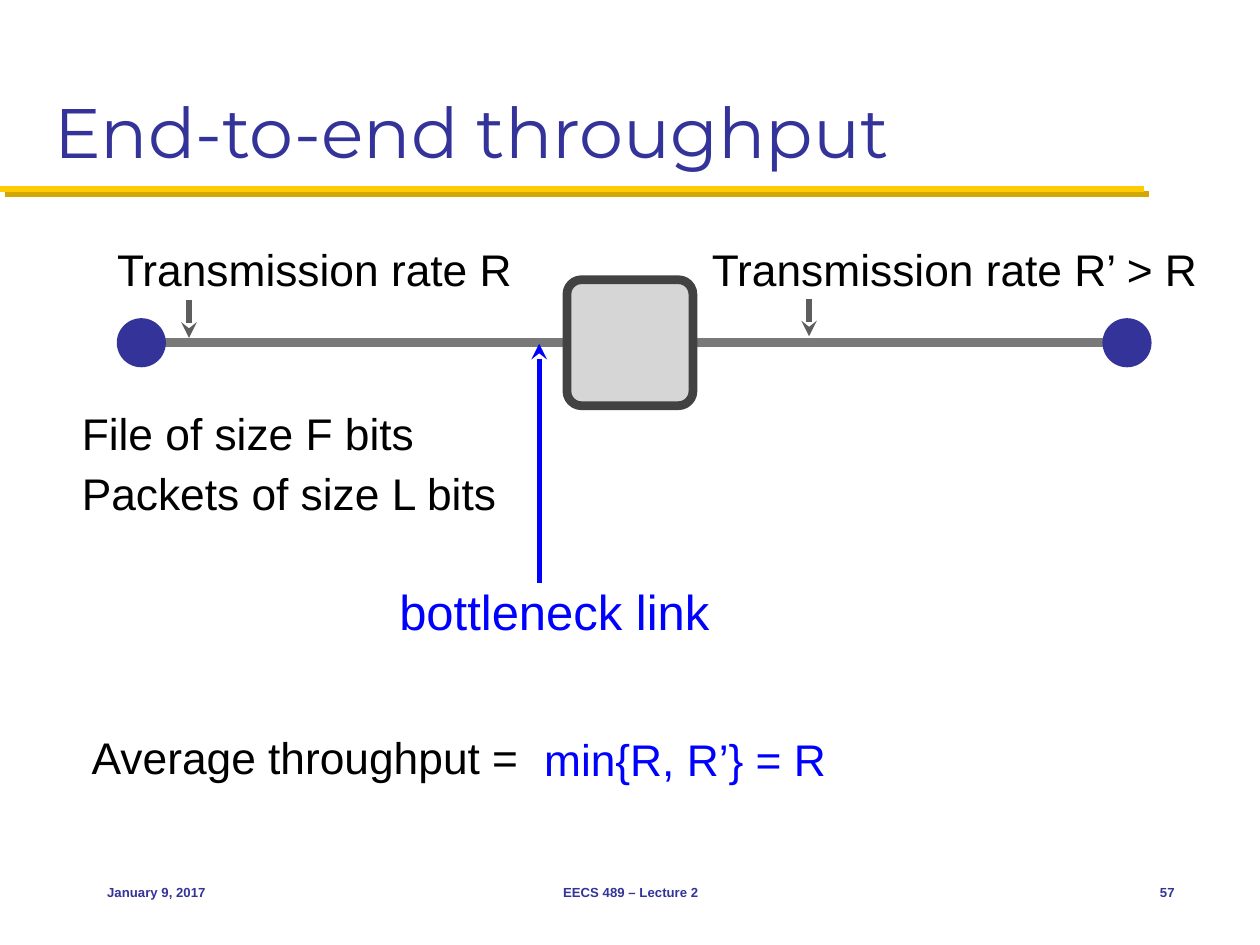
from dataclasses import dataclass

from lxml import etree
from pptx import Presentation
from pptx.dml.color import RGBColor
from pptx.enum.shapes import MSO_CONNECTOR, MSO_SHAPE
from pptx.enum.text import MSO_ANCHOR, PP_ALIGN
from pptx.oxml.ns import qn
from pptx.shapes.autoshape import Shape
from pptx.shapes.connector import Connector
from pptx.slide import Slide
from pptx.util import Cm, Pt

STRAIGHT = MSO_CONNECTOR.STRAIGHT
OVAL, ROUNDED = MSO_SHAPE.OVAL, MSO_SHAPE.ROUNDED_RECTANGLE
MIDDLE, BOTTOM = MSO_ANCHOR.MIDDLE, MSO_ANCHOR.BOTTOM
LEFT, CENTER, RIGHT = PP_ALIGN.LEFT, PP_ALIGN.CENTER, PP_ALIGN.RIGHT

NAVY, BLUE, BLACK = "333399", "0000FF", "000000"
GOLD, DARK_GOLD = "FFCB05", "D3A600"
LINK_GRAY, ARROW_GRAY = "797979", "5E5E5E"
ROUTER_FILL, ROUTER_BORDER = "D6D6D6", "424242"
LINK_Y = 6.91
NODE_SIZE = 0.99
ROUTER_SIZE = 2.54


@dataclass(frozen=True)
class Label:
    text: str
    left: float
    top: float
    width: float
    height: float = 1.27
    size: float = 25.3
    color: str = BLACK
    font: str = "Arial"
    bold: bool = False
    alignment: PP_ALIGN = LEFT
    anchor: MSO_ANCHOR = MIDDLE
    inset_x: float = 0.1
    inset_y: float = 0.1


@dataclass(frozen=True)
class Line:
    start_x: float
    start_y: float
    end_x: float
    end_y: float
    color: str
    weight: float
    arrow: bool = False


def footer(text: str, left: float, width: float, alignment: PP_ALIGN) -> Label:
    return Label(text, left, 17.35, width, size=7.5, color=NAVY, bold=True,
                 alignment=alignment, inset_x=0.25, inset_y=0.13)


LABELS = [
    Label("End-to-end throughput", 0.84, 0.43, 23.7, 3.18, 40, NAVY, "Montserrat",
          anchor=BOTTOM, inset_x=0.25, inset_y=0.13),
    Label("Transmission rate R", 2.26, 4.78, 8.31),
    Label("Transmission rate R’ > R", 14.25, 4.78, 10.72),
    Label("File of size F bits", 1.55, 8.08, 8.48),
    Label("Packets of size L bits", 1.55, 9.3, 9.47),
    Label("bottleneck link", 7.9, 11.58, 11.43, 1.47, 28, BLUE,
          inset_x=0.15, inset_y=0.15),
    Label("Average throughput =", 1.75, 14.61, 12.42),
    Label("min{R, R’} = R", 10.87, 14.66, 6.07, color=BLUE),
    footer("January 9, 2017", 1.91, 5.28, LEFT),
    footer("EECS 489 – Lecture 2", 8.69, 8.05, CENTER),
    footer("57", 22.23, 1.7, RIGHT),
]
TITLE_RULE = Line(0, 3.81, 23.06, 3.81, GOLD, 3.5)
LINK = Line(3, LINK_Y, 22.81, LINK_Y, LINK_GRAY, 5)
ARROWS = [
    Line(3.81, 6.81, 3.81, 6.05, ARROW_GRAY, 3, True),
    Line(16.31, 6.78, 16.31, 6.02, ARROW_GRAY, 3, True),
    Line(10.87, 6.93, 10.87, 11.76, BLUE, 3, True),
]
NODE_CENTERS = [2.85, 22.72]


def rgb(color: str) -> RGBColor:
    return RGBColor.from_string(color)


def add_line(slide: Slide, line: Line) -> Connector:
    connector = slide.shapes.add_connector(
        STRAIGHT, Cm(line.start_x), Cm(line.start_y), Cm(line.end_x), Cm(line.end_y))
    connector.line.color.rgb = rgb(line.color)
    connector.line.width = Pt(line.weight)
    if line.arrow:
        outline = connector.line._get_or_add_ln()
        etree.SubElement(outline, qn("a:headEnd"), type="stealth")
    etree.SubElement(connector._element.spPr, qn("a:effectLst"))
    return connector


def add_offset_shadow(connector: Connector, color: str) -> None:
    effects = connector._element.spPr.find(qn("a:effectLst"))
    shadow = etree.SubElement(effects, qn("a:outerShdw"), dist=str(Pt(4.2)),
                              dir="2700000", algn="ctr", rotWithShape="0")
    etree.SubElement(shadow, qn("a:srgbClr"), val=color)


def add_centered_shape(slide: Slide, kind: MSO_SHAPE, center_x: float,
                       center_y: float, size: float, fill: str) -> Shape:
    shape = slide.shapes.add_shape(
        kind, Cm(center_x - size / 2), Cm(center_y - size / 2), Cm(size), Cm(size))
    shape.shadow.inherit = False
    shape.fill.solid()
    shape.fill.fore_color.rgb = rgb(fill)
    shape.line.fill.background()
    return shape


def add_router(slide: Slide) -> None:
    router = add_centered_shape(slide, ROUNDED, 12.7, LINK_Y, ROUTER_SIZE, ROUTER_FILL)
    router.adjustments[0] = 0.115
    router.line.color.rgb = rgb(ROUTER_BORDER)
    router.line.width = Pt(5)


def add_label(slide: Slide, label: Label) -> None:
    box = slide.shapes.add_textbox(
        Cm(label.left), Cm(label.top), Cm(label.width), Cm(label.height))
    frame = box.text_frame
    frame.word_wrap = True
    frame.vertical_anchor = label.anchor
    frame.margin_left = frame.margin_right = Cm(label.inset_x)
    frame.margin_top = frame.margin_bottom = Cm(label.inset_y)
    frame.text = label.text
    paragraph = frame.paragraphs[0]
    paragraph.alignment = label.alignment
    font = paragraph.runs[0].font
    font.name = label.font
    font.size = Pt(label.size)
    font.bold = label.bold
    font.color.rgb = rgb(label.color)


def main() -> None:
    presentation = Presentation()
    presentation.slide_width = Cm(25.4)
    presentation.slide_height = Cm(19.05)
    slide = presentation.slides.add_slide(presentation.slide_layouts[6])

    add_offset_shadow(add_line(slide, TITLE_RULE), DARK_GOLD)
    add_line(slide, LINK)
    for center_x in NODE_CENTERS:
        add_centered_shape(slide, OVAL, center_x, LINK_Y, NODE_SIZE, NAVY)
    add_router(slide)
    for label in LABELS:
        add_label(slide, label)
    for arrow in ARROWS:
        add_line(slide, arrow)

    presentation.save("out.pptx")


if __name__ == "__main__":
    main()
